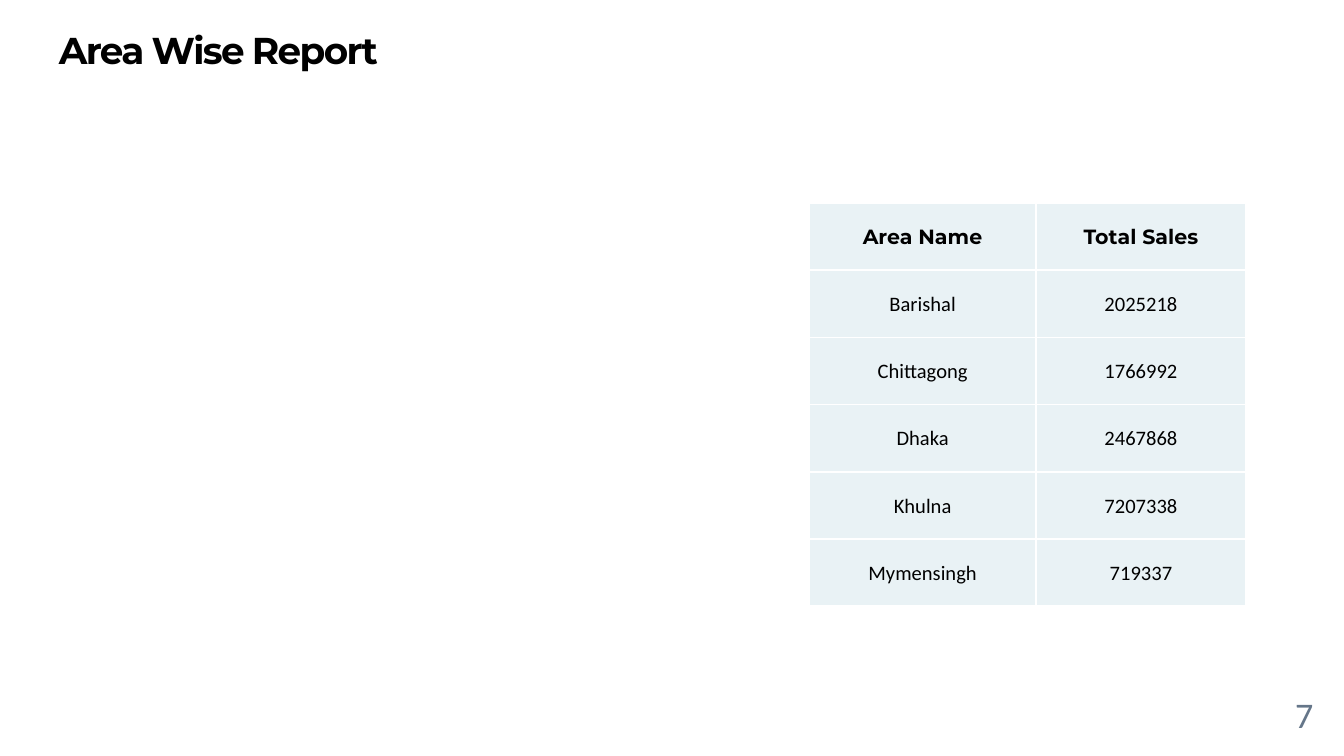
from lxml import etree
from pptx import Presentation
from pptx import util as u
from pptx.dml.color import RGBColor
from pptx.enum import text
from pptx.oxml import ns

COLORS = {"ink": "000000", "page": "657689", "cell": "E9F2F5", "rule": "FFFFFF"}
ROWS = [
    ("Area Name", "Total Sales"),
    ("Barishal", "2025218"),
    ("Chittagong", "1766992"),
    ("Dhaka", "2467868"),
    ("Khulna", "7207338"),
    ("Mymensingh", "719337"),
]
COLS = (1.69, 1.56)
ROW = 0.5
WIDE = 10


def write(para, words, size, font, color, bold=False):
    """Add one styled run to a paragraph and return it."""
    run = para.add_run()
    run.text = words
    run.font.size = u.Pt(size)
    run.font.name = font
    run.font.bold = bold
    run.font.color.rgb = RGBColor.from_string(COLORS[color])
    return run


def add_box(left, top, width, height):
    """Add a wrapping text box with even insets and return its frame."""
    box = slide.shapes.add_textbox(*map(u.Inches, (left, top, width, height)))
    frame = box.text_frame
    frame.word_wrap = True
    frame.margin_left = frame.margin_right = u.Inches(0.1)
    frame.margin_top = frame.margin_bottom = u.Inches(0.1)
    return frame


deck = Presentation()
deck.slide_width = u.Inches(WIDE)
deck.slide_height = u.Inches(WIDE * 9 / 16)
slide = deck.slides.add_slide(deck.slide_layouts[6])

# Title
para = add_box(0.34, 0.15, 9.32, 0.63).paragraphs[0]
para.line_spacing = 0.85
title = write(para, "Area Wise Report", 20, "Montserrat", "ink", True)
title.font._element.set("spc", "-90")

# Page number
frame = add_box(9.27, 5.1, 0.6, 0.43)
frame.vertical_anchor = text.MSO_ANCHOR.MIDDLE
para = frame.paragraphs[0]
para.alignment = text.PP_ALIGN.RIGHT
write(para, "7", 19.3, "Calibri", "page")

# Sales table
size = (6.02, 1.51, sum(COLS), ROW * len(ROWS))
table = slide.shapes.add_table(len(ROWS), len(COLS), *map(u.Inches, size)).table
table.horz_banding = False
for col, width in zip(table.columns, COLS):
    col.width = u.Inches(width)

for r, row in enumerate(ROWS):
    table.rows[r].height = u.Inches(ROW)
    for c, words in enumerate(row):
        cell = table.cell(r, c)
        cell.margin_left = cell.margin_right = cell.margin_top = u.Inches(0.01)
        cell.margin_bottom = 0
        cell.vertical_anchor = text.MSO_ANCHOR.MIDDLE
        cell.fill.solid()
        cell.fill.fore_color.rgb = RGBColor.from_string(COLORS["cell"])
        para = cell.text_frame.paragraphs[0]
        para.alignment = text.PP_ALIGN.CENTER
        head = r == 0
        write(para, words, 11, "Montserrat" if head else "Calibri", "ink", head)

        # Borders come before the fill in the cell properties
        props = cell._tc.get_or_add_tcPr()
        for i, side in enumerate("LRTB"):
            line = etree.Element(ns.qn(f"a:ln{side}"), w=str(u.Pt(1)))
            fill = etree.SubElement(line, ns.qn("a:solidFill"))
            etree.SubElement(fill, ns.qn("a:srgbClr"), val=COLORS["rule"])
            props.insert(i, line)

deck.save("out.pptx")
